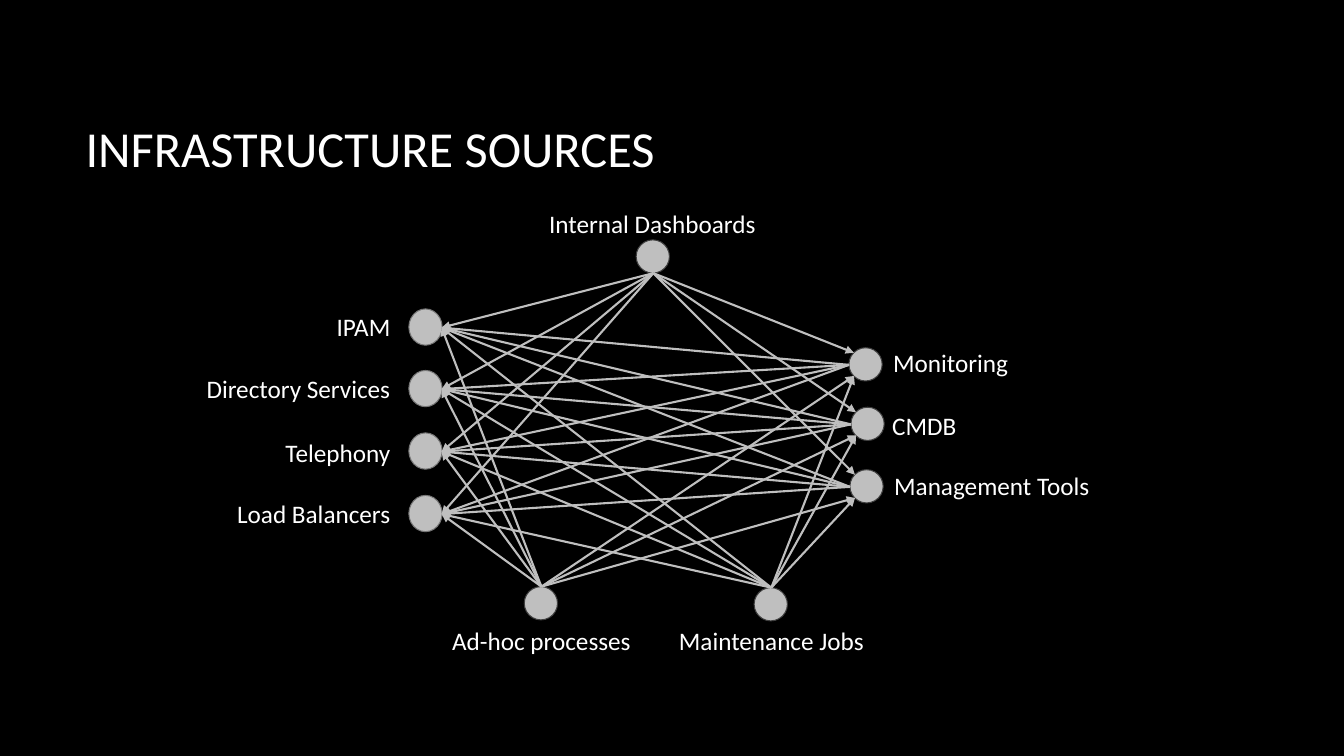
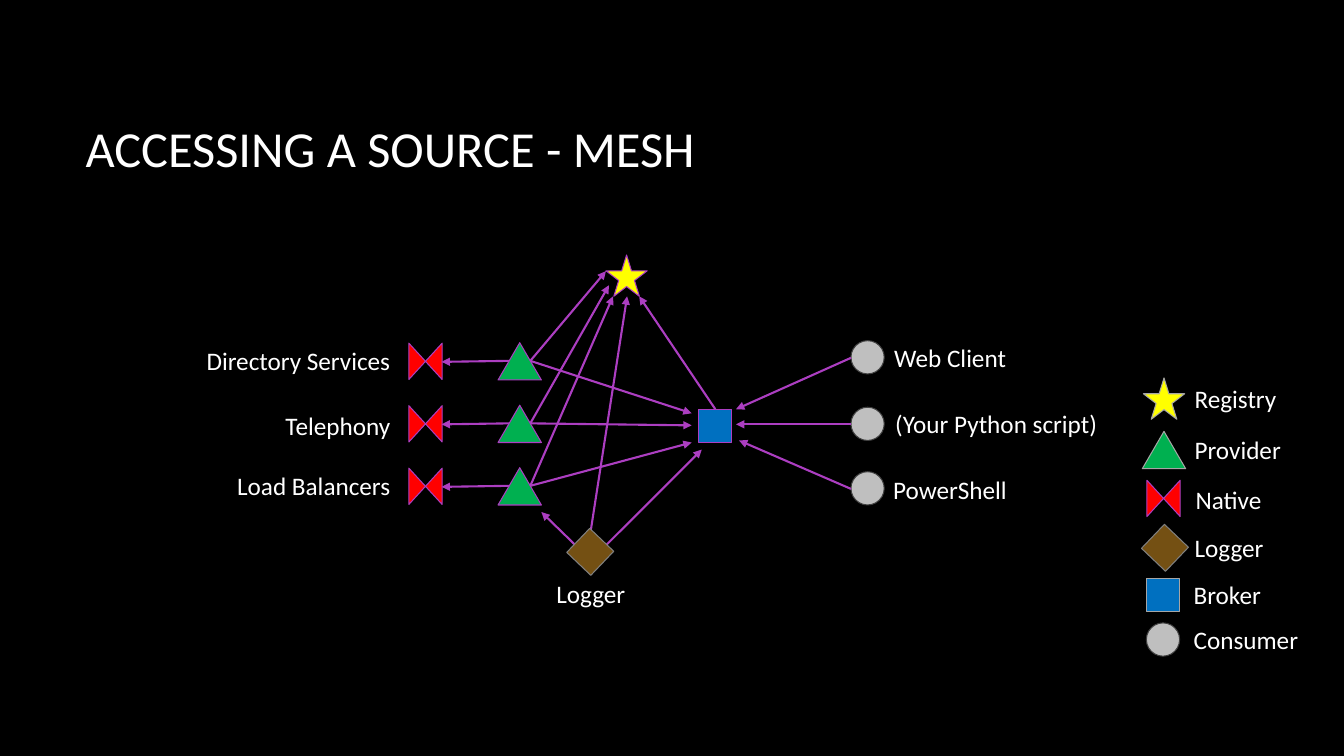
import lxml.etree
import pptx
import pptx.dml.color
import pptx.enum.shapes
import pptx.enum.text
import pptx.oxml.ns
import pptx.util

# Shared look; 100 px make one inch
PX = 9144
FONT = "Calibri"
BLACK, WHITE = "000000", "FFFFFF"
SILVER, PURPLE = "BFBFBF", "AC3EC1"
DARK_EDGE, MID_EDGE, SOFT_EDGE, LEGEND_EDGE = "404040", "767676", "808080", "A6A6A6"

LEFT = pptx.enum.text.PP_ALIGN.LEFT
CENTER = pptx.enum.text.PP_ALIGN.CENTER
RIGHT = pptx.enum.text.PP_ALIGN.RIGHT
PRESET = pptx.enum.shapes.MSO_SHAPE

# Symbol: preset, width, height, fill, rotation
SYMBOLS = {
    "consumer": (PRESET.OVAL, 33, 33, SILVER, 0),
    "source": (PRESET.OVAL, 36, 33, SILVER, 90),
    "native": (PRESET.FLOWCHART_COLLATE, 36, 33, "FF0000", 90),
    "provider": (PRESET.ISOSCELES_TRIANGLE, 43, 37, "00B050", 0),
    "registry": (PRESET.STAR_5_POINT, 41, 41, "FFFF00", 0),
    "broker": (PRESET.RECTANGLE, 33, 33, "0070C0", 0),
    "logger": (PRESET.RECTANGLE, 33, 33, "745013", 313.7),
}


def px(length):
    return pptx.util.Emu(length * PX)


def color(value):
    return pptx.dml.color.RGBColor.from_string(value)


def add_text(page, text, left, top, width, height=40, size=18, align=LEFT,
             anchor=pptx.enum.text.MSO_ANCHOR.TOP):
    box = page.shapes.add_textbox(px(left), px(top), px(width), px(height))
    frame = box.text_frame
    frame.word_wrap = True
    frame.vertical_anchor = anchor
    para = frame.paragraphs[0]
    para.alignment = align
    span = para.add_run()
    span.text = text
    span.font.name = FONT
    span.font.size = pptx.util.Pt(size)
    span.font.color.rgb = color(WHITE)


def add_page(deck, title):
    page = deck.slides.add_slide(deck.slide_layouts[6])
    page.background.fill.solid()
    page.background.fill.fore_color.rgb = color(BLACK)
    add_text(page, title, 75, 67, 1108, 159, size=36,
             anchor=pptx.enum.text.MSO_ANCHOR.MIDDLE)
    return page


def add_symbol(page, kind, left, top, edge):
    preset, width, height, fill, rotation = SYMBOLS[kind]
    shape = page.shapes.add_shape(preset, px(left), px(top), px(width), px(height))
    shape.rotation = rotation
    shape.shadow.inherit = False
    shape.fill.solid()
    shape.fill.fore_color.rgb = color(fill)
    shape.line.color.rgb = color(edge)
    shape.line.width = pptx.util.Pt(0.75)
    return shape


def add_arrow(page, start, end, stroke):
    arrow = page.shapes.add_connector(
        pptx.enum.shapes.MSO_CONNECTOR.STRAIGHT, *map(px, start + end))
    arrow.line.color.rgb = color(stroke)
    arrow.line.width = pptx.util.Pt(1.5)
    qn = pptx.oxml.ns.qn
    lxml.etree.SubElement(arrow.line._get_or_add_ln(), qn("a:tailEnd"), type="triangle")
    lxml.etree.SubElement(arrow._element.spPr, qn("a:effectLst"))
    return arrow


def add_left_label(page, text, top):
    add_text(page, text, 194, top, 203, align=RIGHT)


def build_sources(deck):
    page = add_page(deck, "INFRASTRUCTURE SOURCES")

    # Sources on the left: label, dot top, label top
    source_ends = []
    for text, top, label_top in (("IPAM", 308, 304), ("Directory Services", 369, 365),
                                 ("Telephony", 431, 429), ("Load Balancers", 493, 489)):
        add_symbol(page, "source", 404, top, MID_EDGE)
        add_left_label(page, text, label_top)
        source_ends.append((438, top + 17))

    # Tools on the right: label, dot corner, label corner
    tools = (("Monitoring", (842, 345), (876, 340)), ("CMDB", (844, 404), (875, 402)),
             ("Management Tools", (843, 466), (877, 462)))
    for text, (left, top), label_corner in tools:
        add_symbol(page, "consumer", left, top, DARK_EDGE)
        add_text(page, text, *label_corner, 222)
        for end in source_ends:
            add_arrow(page, (left, top + 17), end, SILVER)

    # Hubs above and below: label, dot corner, label box, start and target offsets
    for text, (left, top), label_box, start_drop, end_drop in (
            ("Ad-hoc processes", (520, 582), (426, 615, 222), 0, 28),
            ("Maintenance Jobs", (748, 583), (654, 615, 222), 0, 28),
            ("Internal Dashboards", (631, 238), (528, 202, 238), 33, 5)):
        add_symbol(page, "consumer", left, top, DARK_EDGE)
        add_text(page, text, *label_box, align=CENTER)
        tool_ends = [(x + 5, y + end_drop) for _, (x, y), _ in tools]
        for end in source_ends + tool_ends:
            add_arrow(page, (left + 17, top + start_drop), end, SILVER)


def build_mesh(deck):
    page = add_page(deck, "ACCESSING A SOURCE - MESH")
    add_symbol(page, "registry", 601, 253, PURPLE)
    broker = add_symbol(page, "broker", 693, 406, PURPLE)

    # Natives and providers: label, label top, arrow ends at registry and broker
    rows = (("Directory Services", 338, (601, 269), (686, 410)),
            ("Telephony", 402, (604, 283), (686, 422)),
            ("Load Balancers", 462, (608, 294), (686, 439)))
    for row, (text, label_top, registry_end, broker_end) in enumerate(rows):
        top = 340 + 62 * row
        add_symbol(page, "native", 404, top + 2, PURPLE)
        add_symbol(page, "provider", 494, top, PURPLE)
        add_left_label(page, text, label_top)
        add_arrow(page, (505, top + 18), (438, top + 19), PURPLE)
        for end in (registry_end, broker_end):
            add_arrow(page, (526, top + 18), end, PURPLE)

    # Consumers: label, label box, alignment, dot top, arrow end at broker
    for text, label_box, align, top, broker_end in (
            ("Web Client", (877, 335, 146), LEFT, 338, (730, 406)),
            ("(Your Python script)", (877, 400, 222), CENTER, 404, (730, 421)),
            ("PowerShell", (876, 466, 146), LEFT, 468, (733, 437))):
        add_symbol(page, "consumer", 844, top, DARK_EDGE)
        add_text(page, text, *label_box, align=align)
        add_arrow(page, (844, top + 17), broker_end, PURPLE)

    # Broker and logger arrows
    add_arrow(page, (709, 406), (634, 294), PURPLE).begin_connect(broker, 0)
    for start, end in (((597, 545), (696, 446)), ((586, 526), (622, 294)),
                       ((575, 545), (537, 508))):
        add_arrow(page, start, end, PURPLE)
    add_symbol(page, "logger", 569, 531, SOFT_EDGE)
    add_text(page, "Logger", 542, 569, 110)

    # Legend: symbol, corner, edge, label corner
    for kind, corner, edge, label_corner in (
            ("registry", (1134, 375), LEGEND_EDGE, (1175, 375)),
            ("provider", (1133, 428), LEGEND_EDGE, (1175, 426)),
            ("native", (1136, 478), PURPLE, (1176, 476)),
            ("logger", (1139, 527), SOFT_EDGE, (1175, 523)),
            ("broker", (1137, 574), LEGEND_EDGE, (1174, 570)),
            ("consumer", (1137, 618), DARK_EDGE, (1174, 614))):
        add_symbol(page, kind, *corner, edge)
        add_text(page, kind.capitalize(), *label_corner, 130)


def main():
    deck = pptx.Presentation()
    deck.slide_width, deck.slide_height = px(1333), px(750)
    build_sources(deck)
    build_mesh(deck)
    deck.save("out.pptx")


if __name__ == "__main__":
    main()
